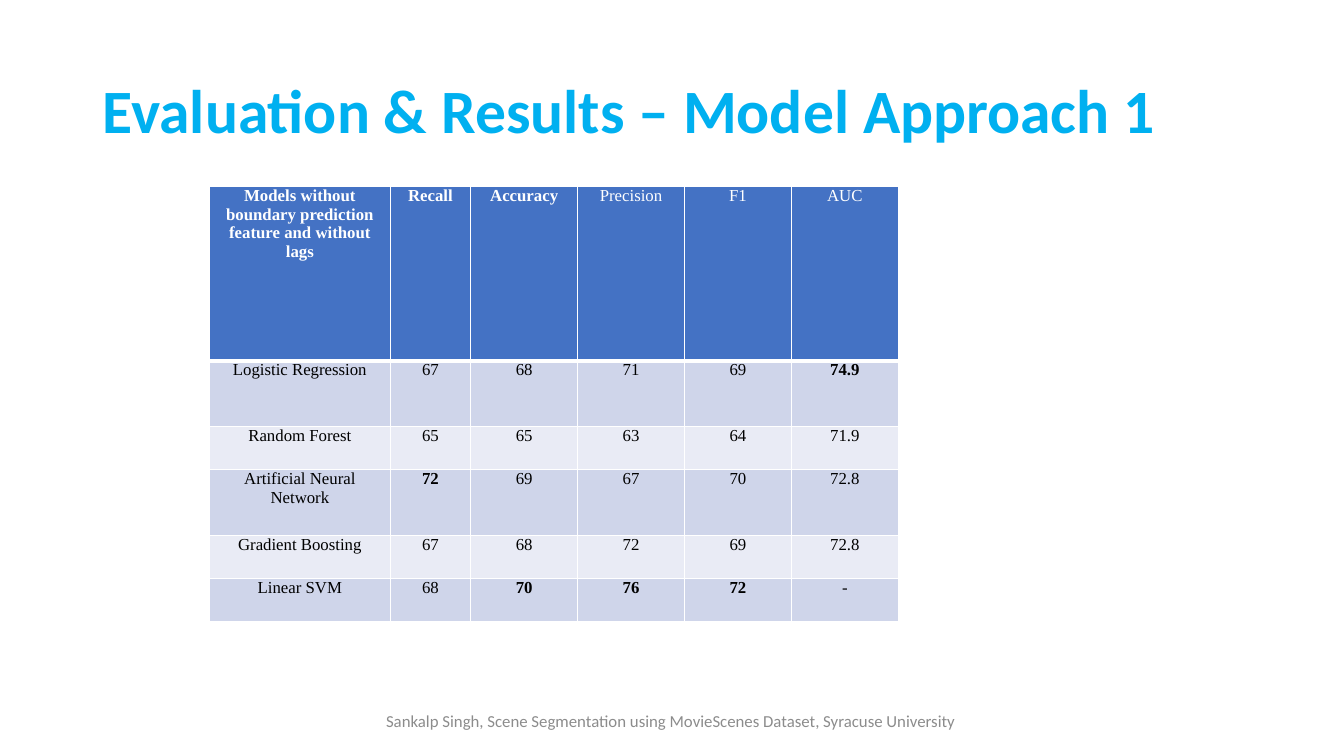
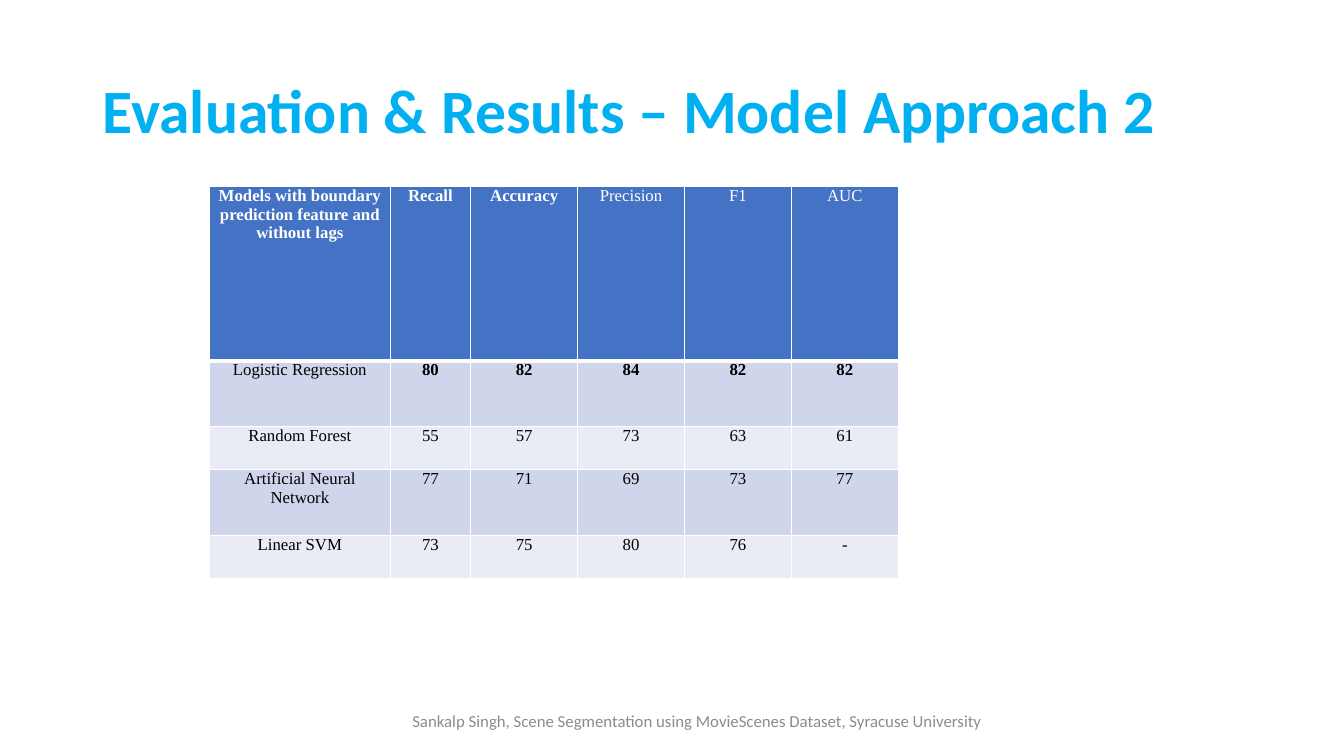
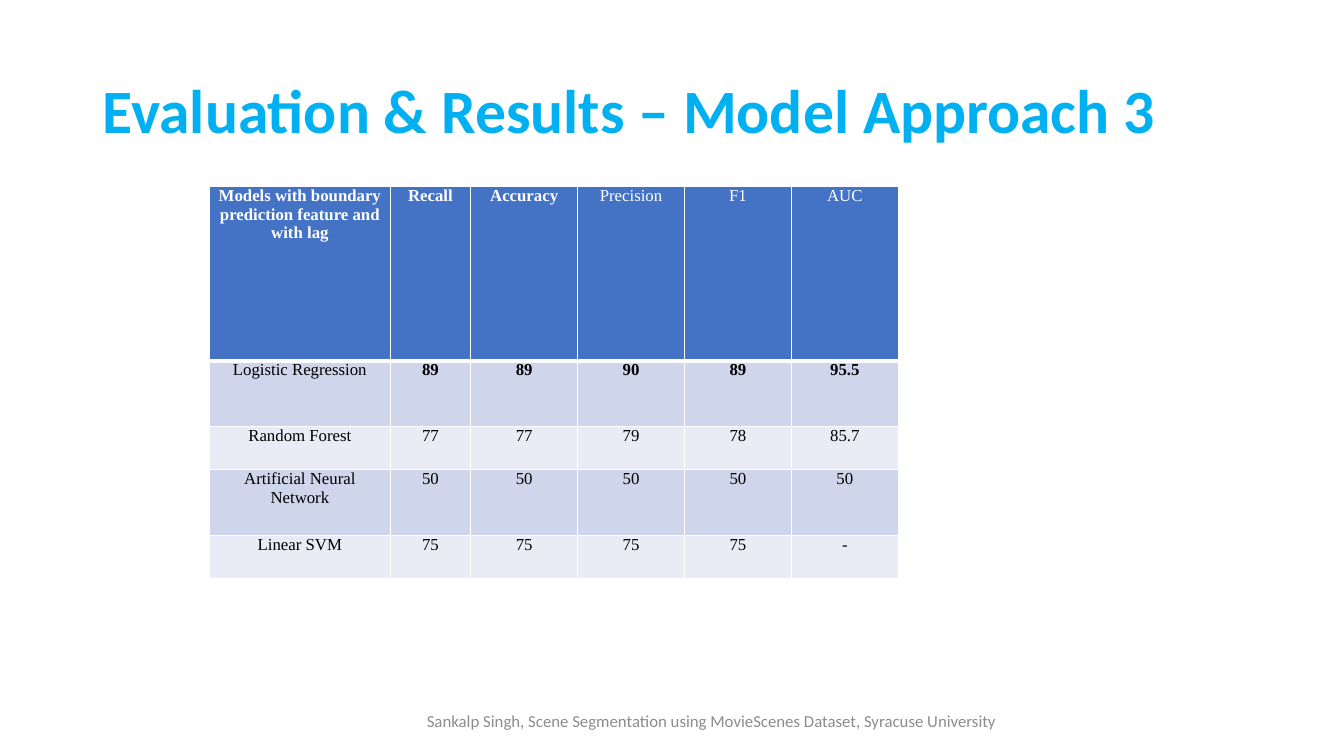
from lxml import etree
from pptx import Presentation
from pptx.dml.color import RGBColor
from pptx.enum.text import MSO_ANCHOR, MSO_AUTO_SIZE, PP_ALIGN
from pptx.oxml.ns import qn
from pptx.util import Inches, Pt

LEFT, CENTER = PP_ALIGN.LEFT, PP_ALIGN.CENTER
MIDDLE = MSO_ANCHOR.MIDDLE
NO_FIT = MSO_AUTO_SIZE.NONE

SKY = RGBColor(0x00, 0xB0, 0xF0)
HEADER_BLUE = RGBColor(0x44, 0x72, 0xC4)
BAND_DARK = RGBColor(0xCF, 0xD5, 0xEA)
BAND_LIGHT = RGBColor(0xE9, 0xEB, 0xF5)
WHITE = RGBColor(0xFF, 0xFF, 0xFF)
BLACK = RGBColor(0x00, 0x00, 0x00)
GRAY = RGBColor(0x8C, 0x8C, 0x8C)

TITLE_FONT = {"name": "Calibri", "size": Pt(44), "bold": True}
FOOTER_FONT = {"name": "Calibri", "size": Pt(12), "bold": False}
CELL_FONT = {"name": "Times New Roman", "size": Pt(12)}
CELL_MARGINS = {
    "margin_left": Inches(0.07),
    "margin_right": Inches(0.07),
    "margin_top": 0,
    "margin_bottom": 0,
}

TITLE_BOX = (0.92, 0.4, 11.5, 1.45)
TABLE_CORNER = (2.08, 1.85)
FOOTER_TOP, FOOTER_HEIGHT = 6.95, 0.4
FOOTER_TEXT = ("Sankalp Singh, Scene Segmentation using MovieScenes Dataset, "
               "Syracuse University")

METRICS = ["Recall", "Accuracy", "Precision", "F1", "AUC"]
BOLD_HEADERS = 3
COLUMN_WIDTHS = [1.79, 0.8] + [1.06] * 4
HEADER_HEIGHT, ROW_HEIGHT, TALL_ROW_HEIGHT = 1.73, 0.43, 0.65
TALL_ROWS = ("Logistic Regression", "Artificial Neural Network")

# Each approach: table heading, footer left and width, scores by model
APPROACHES = [
    ("Models without boundary prediction feature and without lags", (2.71, 7.89), {
        "Logistic Regression": [67, 68, 71, 69, 74.9],
        "Random Forest": [65, 65, 63, 64, 71.9],
        "Artificial Neural Network": [72, 69, 67, 70, 72.8],
        "Gradient Boosting": [67, 68, 72, 69, 72.8],
        "Linear SVM": [68, 70, 76, 72, None],
    }),
    ("Models with boundary prediction feature and without lags", (2.44, 8.95), {
        "Logistic Regression": [80, 82, 84, 82, 82],
        "Random Forest": [55, 57, 73, 63, 61],
        "Artificial Neural Network": [77, 71, 69, 73, 77],
        "Linear SVM": [73, 75, 80, 76, None],
    }),
    ("Models with boundary prediction feature and with lag", (2.51, 9.1), {
        "Logistic Regression": [89, 89, 90, 89, 95.5],
        "Random Forest": [77, 77, 79, 78, 85.7],
        "Artificial Neural Network": [50, 50, 50, 50, 50],
        "Linear SVM": [75, 75, 75, 75, None],
    }),
]


def set_all(target, values):
    for name, value in values.items():
        setattr(target, name, value)


def write(frame, text, font, color, align):
    para = frame.paragraphs[0]
    para.alignment = align
    span = para.add_run()
    span.text = text
    set_all(span.font, font)
    span.font.color.rgb = color
    return para


def add_title(page, text, box):
    title = page.shapes.title
    sides = ("left", "top", "width", "height")
    set_all(title, dict(zip(sides, map(Inches, box))))
    set_all(title.text_frame, {"word_wrap": True, "auto_size": NO_FIT,
                               "vertical_anchor": MIDDLE})
    para = write(title.text_frame, text, TITLE_FONT, SKY, LEFT)
    set_all(para, {"line_spacing": 0.9, "space_before": Pt(0)})


def add_footer(page, left, width):
    box = (left, FOOTER_TOP, width, FOOTER_HEIGHT)
    frame = page.shapes.add_textbox(*map(Inches, box)).text_frame
    set_all(frame, {"word_wrap": True, "vertical_anchor": MIDDLE})
    write(frame, FOOTER_TEXT, FOOTER_FONT, GRAY, CENTER)


def set_borders(cell, bottom):
    """Draw white borders, 1 pt except for the given bottom weight."""
    properties = cell._tc.get_or_add_tcPr()
    weights = {"a:lnL": 1, "a:lnR": 1, "a:lnT": 1, "a:lnB": bottom}
    for position, (tag, weight) in enumerate(weights.items()):
        line = etree.Element(qn(tag), w=str(Pt(weight)))
        fill = etree.SubElement(line, qn("a:solidFill"))
        etree.SubElement(fill, qn("a:srgbClr"), val=str(WHITE))
        properties.insert(position, line)


def fill_cell(cell, text, fill, color, bold, bottom=1):
    set_all(cell, CELL_MARGINS)
    cell.fill.solid()
    cell.fill.fore_color.rgb = fill
    set_borders(cell, bottom)
    write(cell.text_frame, text, {**CELL_FONT, "bold": bold}, color, CENTER)


def add_score_table(page, heading, scores, left, top):
    """Place the score table, with the best score of each metric in bold."""
    heights = [HEADER_HEIGHT] + [
        TALL_ROW_HEIGHT if model in TALL_ROWS else ROW_HEIGHT for model in scores]
    box = (left, top, sum(COLUMN_WIDTHS), sum(heights))
    table = page.shapes.add_table(
        len(heights), len(COLUMN_WIDTHS), *map(Inches, box)).table
    table.horz_banding = False
    for column, width in zip(table.columns, COLUMN_WIDTHS):
        column.width = Inches(width)
    for row, height in zip(table.rows, heights):
        row.height = Inches(height)

    for column, text in enumerate([heading] + METRICS):
        fill_cell(table.cell(0, column), text, HEADER_BLUE, WHITE,
                  column < BOLD_HEADERS, bottom=3)

    best = [max(value for value in values if value is not None)
            for values in zip(*scores.values())]
    for row, (model, values) in enumerate(scores.items(), start=1):
        band = BAND_DARK if row % 2 else BAND_LIGHT
        fill_cell(table.cell(row, 0), model, band, BLACK, False)
        for column, (value, top_score) in enumerate(zip(values, best), start=1):
            text = "-" if value is None else str(value)
            fill_cell(table.cell(row, column), text, band, BLACK,
                      value == top_score)


def add_results_slide(deck, number, heading, footer, scores):
    page = deck.slides.add_slide(deck.slide_layouts.get_by_name("Title Only"))
    add_title(page, f"Evaluation & Results – Model Approach {number}", TITLE_BOX)
    add_score_table(page, heading, scores, *TABLE_CORNER)
    add_footer(page, *footer)


def main():
    deck = Presentation()
    deck.slide_width = Inches(13.33)
    deck.slide_height = Inches(7.5)
    for number, approach in enumerate(APPROACHES, start=1):
        add_results_slide(deck, number, *approach)
    deck.save("out.pptx")


if __name__ == "__main__":
    main()
